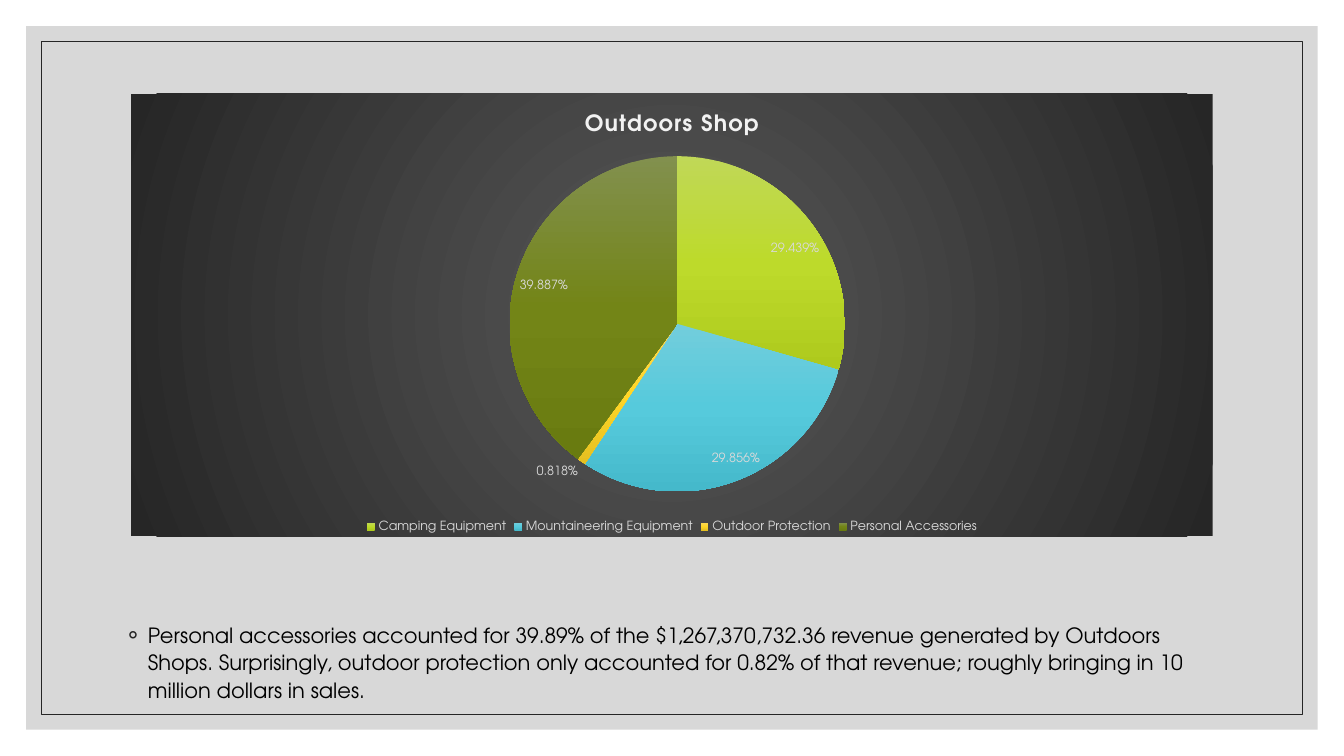
"""Builds the Outdoors Shop revenue slide with its pie chart."""
from lxml import etree
from pptx import Presentation
from pptx.chart.data import CategoryChartData
from pptx.dml.color import RGBColor
from pptx.enum.chart import XL_CHART_TYPE, XL_LABEL_POSITION, XL_LEGEND_POSITION
from pptx.enum.shapes import MSO_SHAPE
from pptx.oxml import parse_xml
from pptx.oxml.ns import nsdecls, qn
from pptx.util import Pt

FONT = "TeX Gyre Adventor"
COLORS = {"panel": "BFBFBF", "ink": "262626", "text": "000000",
          "heading": "F2F2F2", "label": "D9D9D9"}
HEADING = "Outdoors Shop"
SHARES = [
    ("Camping Equipment", 29.439, ("C0D857", "BDDA2B", "AECA1D")),
    ("Mountaineering Equipment", 29.856, ("72CDDC", "56CADC", "45B9CB")),
    ("Outdoor Protection", 0.818, ("FBD856", "FFD628", "E5C021")),
    ("Personal Accessories", 39.887, ("82904E", "738517", "697B10")),
]
BACKDROP = ("595959", "262626")
FINDING = ("Personal accessories accounted for 39.89% of the $1,267,370,732.36 revenue "
           "generated by Outdoors Shops. Surprisingly, outdoor protection only accounted "
           "for 0.82% of that revenue; roughly bringing in 10 million dollars in sales.")
SLIDE_W, SLIDE_H = 960, 540
PANEL_INSET, BORDER_INSET = 18.72, 29.52
CHART_BOX = (93.6, 67, 772.6, 316.1)
FINDING_BOX = (84.2, 439.2, 792, 67)
PIE_AREA = {"x": 0.35, "y": 0.14, "w": 0.31, "h": 0.76}
LINEAR = '<a:lin ang="5400000" scaled="0"/>'
CIRCLE = '<a:path path="circle"><a:fillToRect l="50000" t="50000" r="50000" b="50000"/></a:path>'


def rgb(name):
    return RGBColor.from_string(COLORS[name])


def gradient(stops, direction):
    step = 100000 // (len(stops) - 1)
    marks = "".join(f'<a:gs pos="{i * step}"><a:srgbClr val="{stop}"/></a:gs>'
                    for i, stop in enumerate(stops))
    return parse_xml(f'<a:gradFill {nsdecls("a")} rotWithShape="1">'
                     f'<a:gsLst>{marks}</a:gsLst>{direction}</a:gradFill>')


def style(font, size, color, bold=False):
    font.name, font.size, font.bold = FONT, Pt(size), bold
    font.color.rgb = rgb(color)


def add_frame(slide, inset):
    frame = slide.shapes.add_shape(MSO_SHAPE.RECTANGLE, Pt(inset), Pt(inset),
                                   Pt(SLIDE_W - 2 * inset), Pt(SLIDE_H - 2 * inset))
    frame.shadow.inherit = False
    return frame


def add_frames(slide):
    panel = add_frame(slide, PANEL_INSET)
    panel.fill.solid()
    panel.fill.fore_color.rgb = rgb("panel")
    panel.line.fill.background()
    tint = panel._element.spPr.find(qn("a:solidFill"))[0]
    etree.SubElement(tint, qn("a:alpha"), val="60000")
    border = add_frame(slide, BORDER_INSET)
    border.fill.background()
    border.line.color.rgb = rgb("ink")
    border.line.width = Pt(0.5)


def add_pie(slide):
    data = CategoryChartData(number_format="General")
    data.categories = [name for name, _, _ in SHARES]
    data.add_series("Series 1", [share for _, share, _ in SHARES])
    chart = slide.shapes.add_chart(XL_CHART_TYPE.PIE, *map(Pt, CHART_BOX), data).chart
    style(chart.font, 10, "text")

    backdrop = parse_xml(f'<c:spPr {nsdecls("c", "a")}><a:ln><a:noFill/></a:ln></c:spPr>')
    backdrop.insert(0, gradient(BACKDROP, CIRCLE))
    chart._chartSpace.chart.addnext(backdrop)

    chart.has_title = True
    heading = chart.chart_title.text_frame.paragraphs[0].add_run()
    heading.text = HEADING
    style(heading.font, 16, "heading", bold=True)
    heading.font._element.set("spc", "100")
    chart.chart_title.include_in_layout = False

    chart.has_legend = True
    chart.legend.position = XL_LEGEND_POSITION.BOTTOM
    chart.legend.include_in_layout = False
    style(chart.legend.font, 9, "label")

    plot = chart.plots[0]
    plot.vary_by_categories = True
    series = plot.series[0]
    for i, (_, _, stops) in enumerate(SHARES):
        wedge = series.points[i].format
        wedge.fill.background()
        wedge.line.fill.background()
        wedge_props = series._element.findall(qn("c:dPt"))[i].find(qn("c:spPr"))
        wedge_props.replace(wedge_props[0], gradient(stops, LINEAR))

    labels = series.data_labels
    labels.show_value = False
    labels.show_percentage = True
    labels.number_format = "0.000%"
    labels.number_format_is_linked = False
    labels.position = XL_LABEL_POSITION.BEST_FIT
    style(labels.font, 9, "label")

    plot_area = chart._chartSpace.chart.plotArea
    for old in plot_area.findall(qn("c:layout")):
        plot_area.remove(old)
    sides = "".join(f'<c:{side} val="{part}"/>' for side, part in PIE_AREA.items())
    plot_area.insert(0, parse_xml(
        f'<c:layout {nsdecls("c")}><c:manualLayout><c:layoutTarget val="inner"/>'
        f'<c:xMode val="edge"/><c:yMode val="edge"/>{sides}</c:manualLayout></c:layout>'))


def add_finding(slide):
    frame = slide.shapes.add_textbox(*map(Pt, FINDING_BOX)).text_frame
    frame.word_wrap = True
    finding = frame.paragraphs[0]
    finding.line_spacing = 1.1
    finding.space_before = Pt(9)
    run = finding.add_run()
    run.text = FINDING
    style(run.font, 15, "text")
    props = finding._p.get_or_add_pPr()
    props.set("marL", str(Pt(14.4)))
    props.set("indent", str(-Pt(14.4)))
    bullet_color = etree.SubElement(props, qn("a:buClr"))
    etree.SubElement(bullet_color, qn("a:srgbClr"), val=COLORS["ink"])
    etree.SubElement(props, qn("a:buFont"), typeface=FONT)
    etree.SubElement(props, qn("a:buChar"), char="◦")


def main():
    deck = Presentation()
    deck.slide_width, deck.slide_height = Pt(SLIDE_W), Pt(SLIDE_H)
    slide = deck.slides.add_slide(deck.slide_layouts[6])
    add_frames(slide)
    add_pie(slide)
    add_finding(slide)
    deck.save("out.pptx")


if __name__ == "__main__":
    main()
